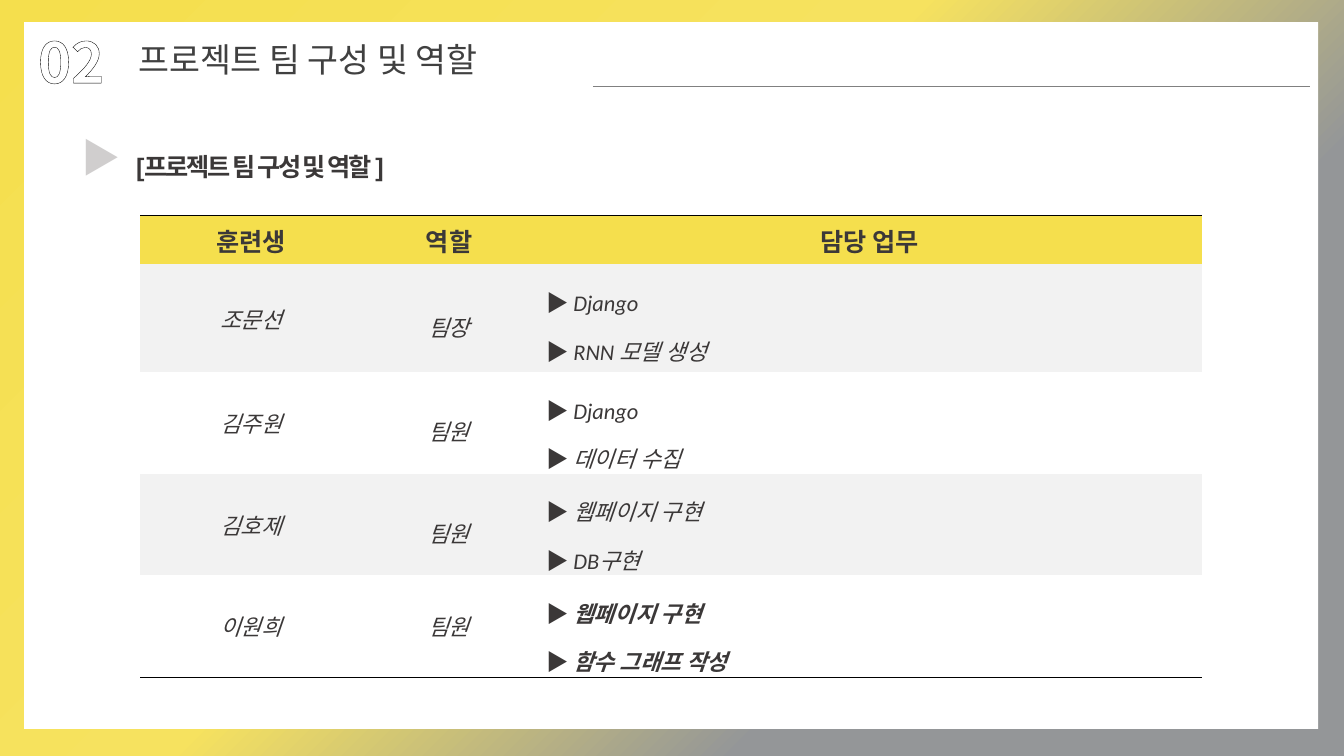
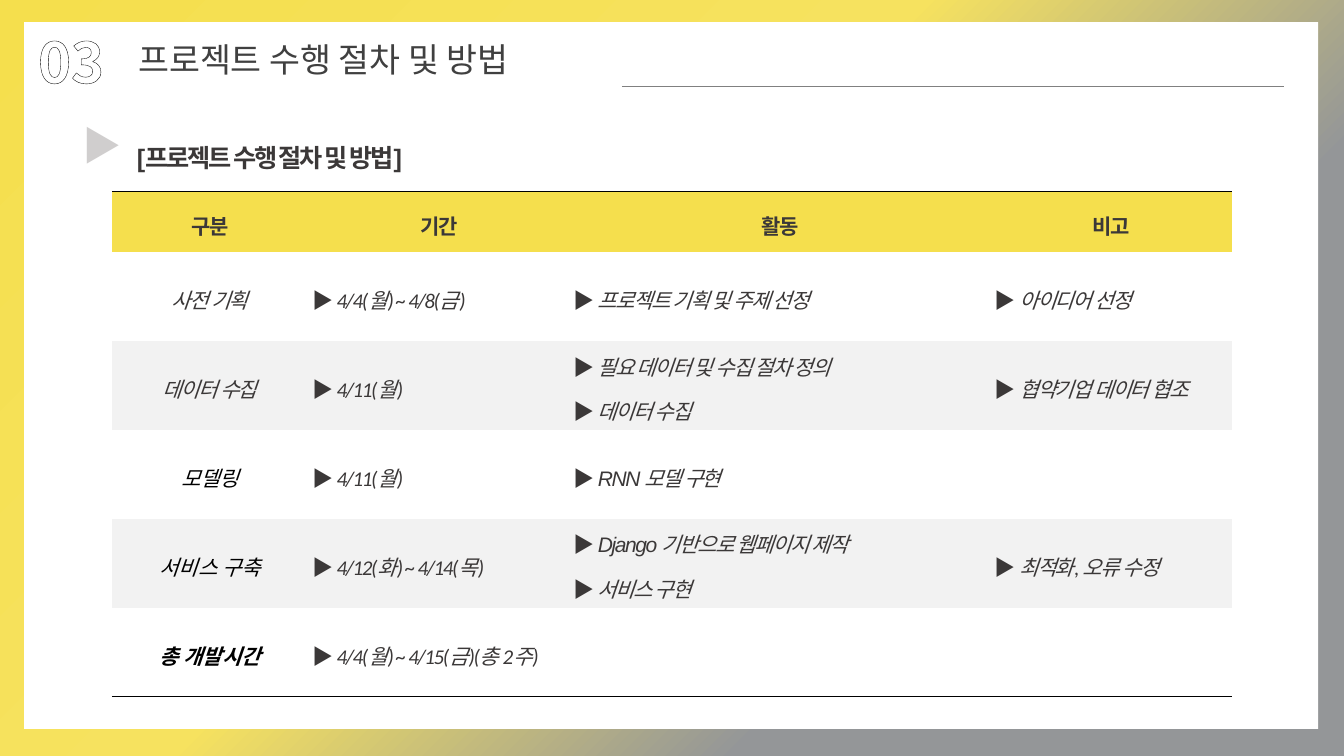
"""Build two project slides: team roles and work schedule."""
from dataclasses import dataclass, field

from lxml import etree
from pptx import Presentation
from pptx.dml.color import RGBColor
from pptx.enum.dml import MSO_PATTERN
from pptx.enum.shapes import MSO_CONNECTOR, MSO_SHAPE
from pptx.enum.text import MSO_ANCHOR, MSO_AUTO_SIZE, PP_ALIGN
from pptx.oxml.ns import qn
from pptx.util import Cm, Pt

YELLOW = RGBColor(0xF5, 0xDF, 0x4D)
PALE_YELLOW = RGBColor(0xF6, 0xE2, 0x5F)
MID_GRAY = RGBColor(0x94, 0x96, 0x98)
GRAY = RGBColor(0x93, 0x95, 0x97)
LIGHT_GRAY = RGBColor(0xD0, 0xCE, 0xCE)
RULE_GRAY = RGBColor(0x80, 0x80, 0x80)
BAND_GRAY = RGBColor(0xF2, 0xF2, 0xF2)
TITLE_GRAY = RGBColor(0x40, 0x40, 0x40)
INK = RGBColor(0x3B, 0x38, 0x38)
BLACK = RGBColor(0, 0, 0)
WHITE = RGBColor(0xFF, 0xFF, 0xFF)

KOREAN, CALIBRI, ARIAL = "Noto Sans CJK KR", "Calibri", "Arial"
LEFT, CENTER = PP_ALIGN.LEFT, PP_ALIGN.CENTER
TOP, MIDDLE = MSO_ANCHOR.TOP, MSO_ANCHOR.MIDDLE
NO_AUTOSIZE = MSO_AUTO_SIZE.NONE
HATCH = MSO_PATTERN.DARK_UPWARD_DIAGONAL
RECTANGLE, STRAIGHT = MSO_SHAPE.RECTANGLE, MSO_CONNECTOR.STRAIGHT
TITLE_ONLY = 5
PLAIN_TABLE = "{2D5ABB26-0587-4C30-8999-92F81FD0307C}"
GRADIENT = ((0, YELLOW), (44, PALE_YELLOW), (71, MID_GRAY), (100, GRAY))
ARROW = "▶"
CELL_MARGINS = (0.25, 0.13, 0.25, 0.13)


@dataclass
class TableSpec:
    """Content and format of one banded table, lengths in cm."""
    left: float
    top: float
    widths: tuple
    heights: tuple
    rows: tuple
    header: dict
    columns: tuple
    bands: tuple
    bullet_margins: tuple = CELL_MARGINS
    exceptions: dict = field(default_factory=dict)


def line_element(tag, color, width):
    """Return a solid line element for text outlines and cell borders."""
    line = etree.Element(qn(tag), w=str(Pt(width)))
    fill = etree.SubElement(line, qn("a:solidFill"))
    etree.SubElement(fill, qn("a:srgbClr"), val=str(color))
    return line


def write(paragraph, text, *, size, font=CALIBRI, color=INK, bold=False, italic=False,
          spacing=0, hatch_back=None, outline=None, align=LEFT, line=1.0, before=0):
    """Add formatted text to a paragraph."""
    paragraph.alignment = align
    paragraph.line_spacing = line
    paragraph.space_before = Pt(before)
    run = paragraph.add_run()
    run.text = text
    run.font.size = Pt(size)
    run.font.bold, run.font.italic = bold, italic
    if hatch_back is None:
        run.font.color.rgb = color
    else:
        run.font.fill.patterned()
        run.font.fill.pattern = HATCH
        run.font.fill.fore_color.rgb = color
        run.font.fill.back_color.rgb = hatch_back
    run.font.name = font
    properties = run._r.get_or_add_rPr()
    properties.set("spc", str(int(spacing * 100)))
    etree.SubElement(properties, qn("a:ea"), typeface=KOREAN)
    if outline:
        properties.insert(0, line_element("a:ln", *outline))


def add_label(slide, text, left, top, width, height, **style):
    """Add a wrapping text box."""
    frame = slide.shapes.add_textbox(Cm(left), Cm(top), Cm(width), Cm(height)).text_frame
    frame.word_wrap = True
    write(frame.paragraphs[0], text, **style)


def set_background(layout):
    """Give the layout its diagonal yellow to gray gradient."""
    fill = layout.background.fill
    fill.gradient()
    fill.gradient_angle = 315
    stops = layout._element.find(".//" + qn("a:gsLst"))
    for stop in list(stops):
        stops.remove(stop)
    for position, color in GRADIENT:
        stop = etree.SubElement(stops, qn("a:gs"), pos=str(position * 1000))
        etree.SubElement(stop, qn("a:srgbClr"), val=str(color))


def add_panel(slide):
    """Place the white panel behind the title."""
    panel = slide.shapes.add_shape(RECTANGLE, Cm(0.61), Cm(0.56), Cm(32.61), Cm(17.81))
    panel.shadow.inherit = False
    panel.fill.solid()
    panel.fill.fore_color.rgb = WHITE
    panel.line.fill.background()
    slide.shapes.title._element.addprevious(panel._element)


def set_title(slide, text):
    """Place and format the title placeholder."""
    title = slide.shapes.title
    title.left, title.top, title.width, title.height = Cm(3.23), Cm(0.86), Cm(11.6), Cm(1.27)
    frame = title.text_frame
    frame.word_wrap = True
    frame.auto_size = NO_AUTOSIZE
    frame.vertical_anchor = TOP
    write(frame.paragraphs[0], text, size=24, font=KOREAN, color=TITLE_GRAY)


def add_rule(slide, start, end):
    """Draw the thin line beside the title."""
    rule = slide.shapes.add_connector(STRAIGHT, Cm(start), Cm(2.18), Cm(end), Cm(2.18))
    rule.line.color.rgb = RULE_GRAY
    rule.line.width = Pt(1)
    etree.SubElement(rule._element.spPr, qn("a:effectLst"))


def add_section_slide(deck, number, title, rule):
    """Add a slide with panel, section number, title and rule."""
    slide = deck.slides.add_slide(deck.slide_layouts[TITLE_ONLY])
    add_panel(slide)
    set_title(slide, title)
    add_label(slide, number, 0.71, 0.56, 3.23, 1.96, size=40, font=KOREAN, bold=True,
              hatch_back=WHITE, outline=(BLACK, 1.25))
    add_rule(slide, *rule)
    return slide


def add_heading(slide, text, arrow_at, text_at):
    """Add a bracketed heading with its hatched arrow."""
    add_label(slide, ARROW, *arrow_at, 1.4, 1.45, size=28, font=KOREAN, color=GRAY,
              bold=True, hatch_back=LIGHT_GRAY, outline=(GRAY, 1))
    add_label(slide, text, *text_at, 28.4, 1.4, size=18, font=ARIAL, bold=True,
              spacing=-1.5, line=1.5)


def fill_cell(cell, text, band, margins, bulleted=False, **style):
    """Fill a cell with lines of text, each led by an arrow if bulleted."""
    cell.fill.solid()
    cell.fill.fore_color.rgb = band
    cell.vertical_anchor = MIDDLE
    cell.margin_left, cell.margin_top, cell.margin_right, cell.margin_bottom = map(Cm, margins)
    if not text:
        return
    frame = cell.text_frame
    for index, entry in enumerate(text.split("\n")):
        paragraph = frame.add_paragraph() if index else frame.paragraphs[0]
        if bulleted:
            marker = style | {"font": KOREAN, "bold": True, "italic": False}
            write(paragraph, ARROW + " ", outline=(GRAY, 1), **marker)
        write(paragraph, entry, **style)


def add_banded_table(slide, spec):
    """Add a table with a yellow header, banded rows and outer rules."""
    table = slide.shapes.add_table(
        len(spec.rows), len(spec.widths), Cm(spec.left), Cm(spec.top),
        Cm(sum(spec.widths)), Cm(sum(spec.heights))).table
    table.first_row = table.horz_banding = False
    table._tbl.tblPr.find(qn("a:tableStyleId")).text = PLAIN_TABLE
    for column, width in zip(table.columns, spec.widths):
        column.width = Cm(width)
    for row, height in zip(table.rows, spec.heights):
        row.height = Cm(height)
    last = len(spec.rows) - 1
    for r, texts in enumerate(spec.rows):
        for c, text in enumerate(texts):
            style = spec.columns[c] | spec.exceptions.get((r, c), {}) if r else spec.header
            margins = spec.bullet_margins if style.get("bulleted") else CELL_MARGINS
            band = spec.bands[(r - 1) % 2] if r else YELLOW
            cell = table.cell(r, c)
            fill_cell(cell, text, band, margins, **style)
            if r in (0, last):
                side = "a:lnB" if r else "a:lnT"
                cell._tc.get_or_add_tcPr().insert(0, line_element(side, BLACK, 0.75))


def add_team_slide(deck):
    """Build the slide on team members and roles."""
    slide = add_section_slide(deck, "02", "프로젝트 팀 구성 및 역할", (14.94, 33.02))
    add_heading(slide, "[프로젝트 팀 구성 및 역할 ]", (1.8, 3.23), (3.18, 3.3))
    member = dict(size=16, italic=True, align=CENTER)
    task = dict(size=16, italic=True, line=1.5, bulleted=True)
    add_banded_table(slide, TableSpec(
        left=3.53, top=5.44, widths=(5.59, 4.39, 16.79),
        heights=(1.22, 2.72, 2.56, 2.56, 2.56),
        rows=(
            ("훈련생", "역할", "담당 업무"),
            ("조문선", "팀장", "Django\nRNN 모델 생성"),
            ("김주원", "팀원", "Django\n데이터 수집"),
            ("김호제", "팀원", "웹페이지 구현\nDB구현"),
            ("이원희", "팀원", "웹페이지 구현\n함수 그래프 작성"),
        ),
        header=dict(size=18, bold=True, align=CENTER),
        columns=(member, member | {"line": 1.5}, task),
        bands=(BAND_GRAY, WHITE),
        exceptions={(4, 1): {"line": 1.0}, (4, 2): {"bold": True}}))


def add_schedule_slide(deck):
    """Build the slide on project steps and dates."""
    slide = add_section_slide(deck, "03", "프로젝트 수행 절차 및 방법", (15.67, 32.36))
    add_heading(slide, "[프로젝트 수행 절차 및 방법]", (1.83, 2.92), (3.2, 3.07))
    body = dict(size=15, italic=True, spacing=-1, line=1.2, before=6)
    entry = body | {"bulleted": True}
    black = dict(color=BLACK, spacing=0)
    add_banded_table(slide, TableSpec(
        left=2.82, top=4.83, widths=(4.95, 6.58, 10.62, 6.07),
        heights=(1.52,) + (2.24,) * 5,
        rows=(
            ("구분", "기간", "활동", "비고"),
            ("사전 기획", "4/4(월) ~ 4/8(금)", "프로젝트 기획 및 주제 선정", "아이디어 선정"),
            ("데이터 수집", "4/11(월)", "필요 데이터 및 수집 절차 정의\n데이터 수집",
             "협약기업 데이터 협조"),
            ("모델링", "4/11(월)", "RNN 모델 구현", ""),
            ("서비스 구축", "4/12(화) ~ 4/14(목)",
             "Django 기반으로 웹페이지 제작\n서비스 구현", "최적화, 오류 수정"),
            ("총 개발시간", "4/4(월) ~ 4/15(금)(총 2주)", "", ""),
        ),
        header=dict(size=15, bold=True, spacing=-1, align=CENTER, line=1.2),
        columns=(body | {"align": CENTER}, entry, entry | {"font": ARIAL}, entry),
        bands=(WHITE, BAND_GRAY),
        bullet_margins=(0.1, 0, 0, 0),
        exceptions={(3, 0): black, (4, 0): black, (5, 0): black | {"bold": True}}))


def main():
    """Create and save the deck."""
    deck = Presentation()
    deck.slide_width, deck.slide_height = Cm(33.87), Cm(19.05)
    set_background(deck.slide_layouts[TITLE_ONLY])
    add_team_slide(deck)
    add_schedule_slide(deck)
    deck.save("out.pptx")


if __name__ == "__main__":
    main()
